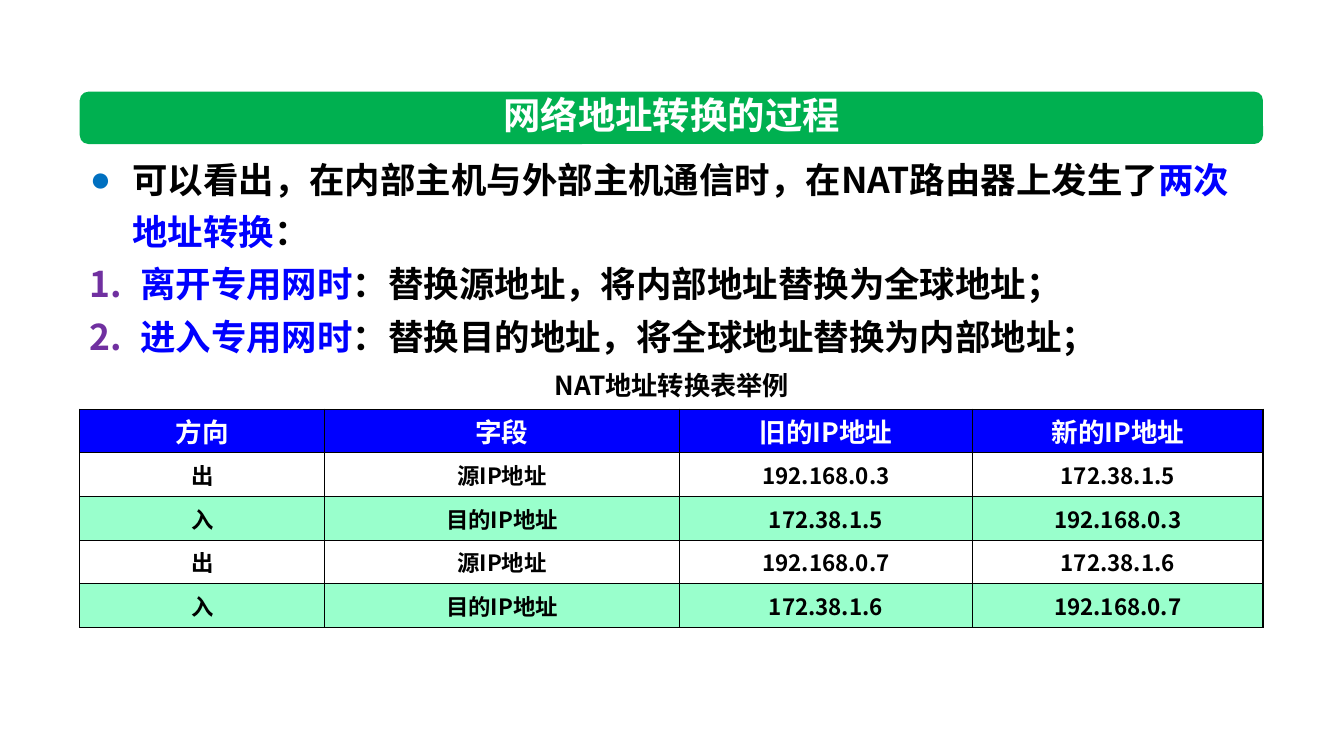
from lxml.etree import SubElement
from pptx import Presentation
from pptx.dml.color import RGBColor
from pptx.enum.shapes import MSO_SHAPE as SHAPE
from pptx.enum.text import MSO_ANCHOR as ANCHOR, MSO_AUTO_SIZE as AUTO, PP_ALIGN as ALIGN
from pptx.oxml.ns import qn
from pptx.util import Cm, Pt

# Content
TITLE = "网络地址转换的过程"
# Each paragraph: bullet tag, bullet attributes, bullet colour, indent in cm, runs
BODY = [
    ("a:buChar", {"char": "●"}, "bullet", 1.07, [
        ("可以看出，在内部主机与外部主机通信时，在NAT路由器上发生了", "black"),
        ("两次地址转换", "blue"), ("：", "black")]),
    ("a:buAutoNum", {"type": "arabicPeriod"}, "number", 1.27, [
        ("离开专用网时", "blue"),
        ("：替换源地址，将内部地址替换为全球地址；", "black")]),
    ("a:buAutoNum", {"type": "arabicPeriod"}, "number", 1.27, [
        ("进入专用网时", "blue"),
        ("：替换目的地址，将全球地址替换为内部地址；", "black")]),
]
CAPTION = "NAT地址转换表举例"
TABLE = [
    ("方向", "字段", "旧的IP地址", "新的IP地址"),
    ("出", "源IP地址", "192.168.0.3", "172.38.1.5"),
    ("入", "目的IP地址", "172.38.1.5", "192.168.0.3"),
    ("出", "源IP地址", "192.168.0.7", "172.38.1.6"),
    ("入", "目的IP地址", "172.38.1.6", "192.168.0.7"),
]
COLORS = {"black": "000000", "white": "FFFFFF", "blue": "0000FF", "green": "00B050",
          "mint": "99FFCC", "bullet": "0070C0", "number": "7030A0"}
FONT = "Noto Sans CJK SC"

# Layout in cm
LEFT, WIDTH = 2.01, 29.82
COLS = [6.17, 8.94, 7.39, 7.32]
ROW = 1.1


def rgb(name):
    return RGBColor.from_string(COLORS[name])


def add_run(p, text, size, color):
    r = p.add_run()
    r.text = text
    r.font.size, r.font.bold, r.font.name = Pt(size), True, FONT
    r.font.color.rgb = rgb(color)
    SubElement(r._r.get_or_add_rPr(), qn("a:ea"), typeface=FONT)


def place(s, left, top, width, height):
    s.left, s.top, s.width, s.height = Cm(left), Cm(top), Cm(width), Cm(height)


def set_bullet(p, tag, attrs, color, indent):
    pPr = p._p.get_or_add_pPr()
    pPr.set("marL", str(Cm(indent)))
    pPr.set("indent", str(-Cm(indent)))
    SubElement(SubElement(pPr, qn("a:buClr")), qn("a:srgbClr"), val=COLORS[color])
    SubElement(pPr, qn(tag), attrs)


def set_borders(cell):
    tcPr = cell._tc.get_or_add_tcPr()
    for i, side in enumerate(("a:lnL", "a:lnR", "a:lnT", "a:lnB")):
        ln = tcPr.makeelement(qn(side), {"w": str(Pt(1))})
        fill = SubElement(ln, qn("a:solidFill"))
        SubElement(fill, qn("a:srgbClr"), val=COLORS["black"])
        tcPr.insert(i, ln)


prs = Presentation()
prs.slide_width, prs.slide_height = Cm(33.87), Cm(19.05)
slide = prs.slides.add_slide(prs.slide_layouts[1])
shapes = slide.shapes

# Green bar, behind the title
bar = shapes.add_shape(SHAPE.ROUNDED_RECTANGLE, Cm(LEFT), Cm(2.31), Cm(WIDTH), Cm(1.32))
bar.shadow.inherit = False
bar.fill.solid()
bar.fill.fore_color.rgb = rgb("green")
bar.line.fill.background()
shapes._spTree.insert(2, bar._element)

# Title
title = shapes.title
place(title, 7.19, 2.18, 19.48, 1.4)
tf = title.text_frame
tf.auto_size, tf.vertical_anchor = AUTO.NONE, ANCHOR.MIDDLE
tf.paragraphs[0].alignment = ALIGN.CENTER
add_run(tf.paragraphs[0], TITLE, 26.7, "white")

# Bullet and numbered list
body = slide.placeholders[1]
place(body, LEFT, 3.61, WIDTH, 5.41)
tf = body.text_frame
tf.auto_size, tf.vertical_anchor = AUTO.NONE, ANCHOR.TOP
for i, (tag, attrs, color, indent, runs) in enumerate(BODY):
    p = tf.add_paragraph() if i else tf.paragraphs[0]
    set_bullet(p, tag, attrs, color, indent)
    p.line_spacing, p.space_before = Pt(37.3), Pt(0)
    for text, run_color in runs:
        add_run(p, text, 25.3, run_color)

# Table caption
caption = shapes.add_textbox(Cm(13.64), Cm(9.19), Cm(6.58), Cm(1.07))
caption.text_frame.word_wrap = False
p = caption.text_frame.paragraphs[0]
p.alignment = ALIGN.CENTER
add_run(p, CAPTION, 18.7, "black")

# Translation table
table = shapes.add_table(len(TABLE), len(COLS), Cm(LEFT), Cm(10.31),
                         Cm(WIDTH), Cm(ROW * len(TABLE))).table
for column, width in zip(table.columns, COLS):
    column.width = Cm(width)
for i, values in enumerate(TABLE):
    table.rows[i].height = Cm(ROW)
    size, color = (16, "black") if i else (19, "white")
    fill = ("mint" if i % 2 == 0 else "white") if i else "blue"
    for j, text in enumerate(values):
        cell = table.cell(i, j)
        cell.fill.solid()
        cell.fill.fore_color.rgb = rgb(fill)
        cell.vertical_anchor = ANCHOR.MIDDLE
        cell.margin_top = cell.margin_bottom = 0
        set_borders(cell)
        p = cell.text_frame.paragraphs[0]
        p.alignment = ALIGN.CENTER
        add_run(p, text, size, color)

prs.save("out.pptx")
